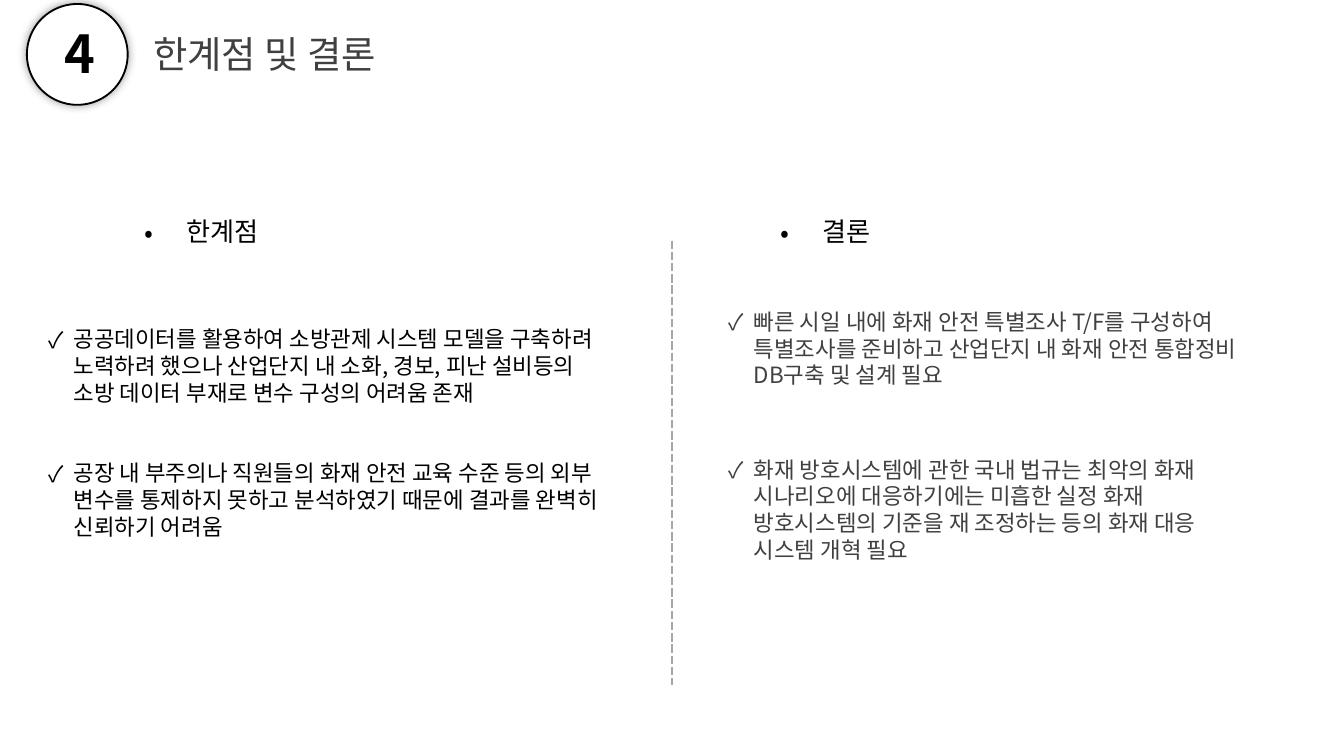
from lxml import etree
from pptx import Presentation
from pptx import util as u
from pptx.dml.color import RGBColor
from pptx.enum import dml, shapes, text
from pptx.oxml import ns

FONT = "Noto Sans CJK KR"
BLACK = RGBColor(0, 0, 0)
WHITE = RGBColor(255, 255, 255)
DARK = RGBColor(0x40, 0x40, 0x40)
GRAY = RGBColor(0xA6, 0xA6, 0xA6)
WIDTH = 10
HEIGHT = WIDTH * 9 / 16

NUMBER, TITLE = "4", "한계점 및 결론"
COLUMNS = [
    {
        "heading": "한계점",
        "heading_left": 0.98,
        "box": (0.26, 2.26, 4.4, 2.12),
        "color": BLACK,
        "gap": 28.8,
        "bottom": 0.25,
        "points": [
            "공공데이터를 활용하여 소방관제 시스템 모델을 구축하려 노력하려 했으나 산업단지 내 소화, 경보, 피난 설비등의 소방 데이터 부재로 변수 구성의 어려움 존재",
            "공장 내 부주의나 직원들의 화재 안전 교육 수준 등의 외부 변수를 통제하지 못하고 분석하였기 때문에 결과를 완벽히 신뢰하기 어려움",
        ],
    },
    {
        "heading": "결론",
        "heading_left": 5.71,
        "box": (5.32, 2.63, 4.09, 1.22),
        "color": DARK,
        "gap": 36,
        "bottom": 0.05,
        "points": [
            "빠른 시일 내에 화재 안전 특별조사 T/F를 구성하여 특별조사를 준비하고 산업단지 내 화재 안전 통합정비 DB구축 및 설계 필요",
            "화재 방호시스템에 관한 국내 법규는 최악의 화재 시나리오에 대응하기에는 미흡한 실정 화재 방호시스템의 기준을 재 조정하는 등의 화재 대응 시스템 개혁 필요",
        ],
    },
]


def add_element(parent, tag, **attributes):
    element = etree.SubElement(parent, ns.qn(tag))
    for name, value in attributes.items():
        element.set(name, str(value))
    return element


def add_text(slide, box, lines, size=12, color=BLACK, bold=False, align=None,
             bullet=None, indent=0, gap=0, spacing=None, bottom=0.05):
    shape = slide.shapes.add_textbox(*map(u.Inches, box))
    frame = shape.text_frame
    frame.word_wrap = True
    frame.vertical_anchor = text.MSO_ANCHOR.MIDDLE
    frame.margin_bottom = u.Inches(bottom)
    for index, line in enumerate(lines):
        paragraph = frame.add_paragraph() if index else frame.paragraphs[0]
        paragraph.alignment = align
        if index:
            paragraph.space_before = u.Pt(gap)
        if spacing:
            paragraph.line_spacing = u.Pt(spacing)
        if bullet:
            properties = paragraph._p.get_or_add_pPr()
            properties.set("marL", str(u.Inches(indent)))
            properties.set("indent", str(-u.Inches(indent)))
            add_element(properties, "a:buFont", typeface=FONT)
            add_element(properties, "a:buChar", char=bullet)
        run = paragraph.add_run()
        run.text = line
        run.font.name = FONT
        run.font.size = u.Pt(size)
        run.font.bold = bold
        run.font.color.rgb = color
        run.font._element.set("kern", "0")
        add_element(run.font._element, "a:ea", typeface=FONT)
    return shape


def add_badge(slide):
    circle = slide.shapes.add_shape(
        shapes.MSO_SHAPE.OVAL, *map(u.Inches, (0.2, 0.03, 0.75, 0.75)))
    circle.fill.solid()
    circle.fill.fore_color.rgb = WHITE
    circle.line.color.rgb = BLACK
    circle.line.width = u.Pt(1)
    effects = add_element(circle._element.spPr, "a:effectLst")
    shadow = add_element(effects, "a:outerShdw", blurRad=u.Pt(5), dist=0, dir=0)
    add_element(add_element(shadow, "a:srgbClr", val=BLACK), "a:alpha", val=40000)
    add_text(slide, (0.36, 0.11, 0.47, 0.57), [NUMBER], size=28, bold=True,
             align=text.PP_ALIGN.CENTER)


def add_divider(slide):
    middle = u.Inches(WIDTH / 2)
    line = slide.shapes.add_connector(
        shapes.MSO_CONNECTOR.STRAIGHT, middle, u.Inches(1.79), middle, u.Inches(5.1))
    line.line.color.rgb = GRAY
    line.line.width = u.Pt(1.5)
    line.line.dash_style = dml.MSO_LINE.SQUARE_DOT
    add_element(line._element.spPr, "a:effectLst")


def main():
    presentation = Presentation()
    presentation.slide_width = u.Inches(WIDTH)
    presentation.slide_height = u.Inches(HEIGHT)
    slide = presentation.slides.add_slide(presentation.slide_layouts[6])
    for column in COLUMNS:
        add_text(slide, column["box"], column["points"], color=column["color"],
                 bullet="✓", indent=0.19, gap=column["gap"], spacing=14.4,
                 bottom=column["bottom"])
        add_text(slide, (column["heading_left"], 1.55, 2.44, 0.34),
                 [column["heading"]], size=14, bullet="•", indent=0.31)
    add_divider(slide)
    add_text(slide, (1.04, 0.18, 6.28, 0.44), [TITLE], size=20, color=DARK)
    add_badge(slide)
    presentation.save("out.pptx")


if __name__ == "__main__":
    main()
